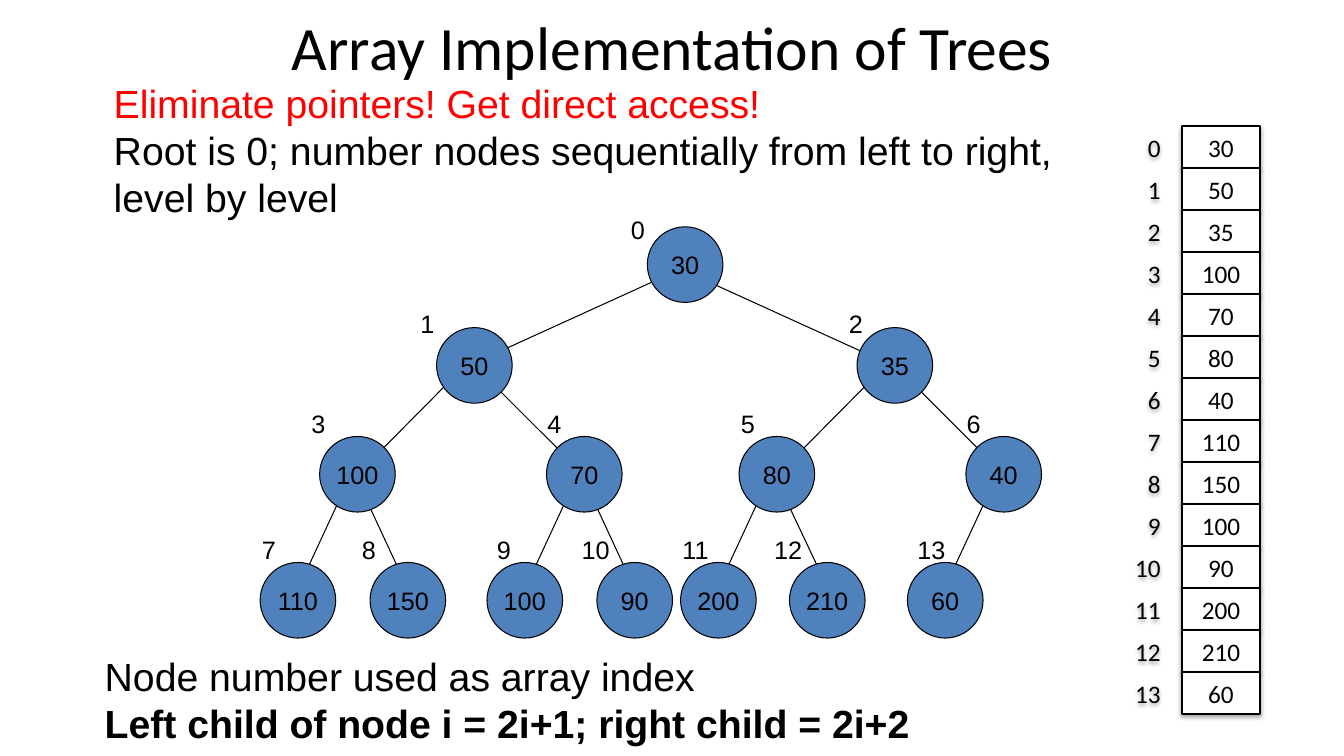
"""Build a slide showing a binary tree and the array that stores it."""
from lxml import etree
from pptx import Presentation
from pptx.dml.color import RGBColor
from pptx.enum.shapes import MSO_CONNECTOR, MSO_SHAPE
from pptx.enum.text import MSO_ANCHOR, MSO_AUTO_SIZE, PP_ALIGN
from pptx.oxml import parse_xml
from pptx.oxml.ns import nsdecls, qn
from pptx.util import Inches, Pt

BLACK = RGBColor(0x00, 0x00, 0x00)
WHITE = RGBColor(0xFF, 0xFF, 0xFF)
RED = RGBColor(0xFF, 0x00, 0x00)
BLUE = RGBColor(0x4F, 0x81, 0xBD)
LEFT, CENTER, RIGHT = PP_ALIGN.LEFT, PP_ALIGN.CENTER, PP_ALIGN.RIGHT
TOP, MIDDLE = MSO_ANCHOR.TOP, MSO_ANCHOR.MIDDLE
OVAL, RECT = MSO_SHAPE.OVAL, MSO_SHAPE.RECTANGLE
STRAIGHT, GROW = MSO_CONNECTOR.STRAIGHT, MSO_AUTO_SIZE.SHAPE_TO_FIT_TEXT

SHADOW = (
    f'<a:effectLst {nsdecls("a")}><a:outerShdw blurRad="39370" dist="22860" '
    'dir="5400000" rotWithShape="0"><a:srgbClr val="000000">'
    '<a:alpha val="35000"/></a:srgbClr></a:outerShdw></a:effectLst>'
)


def write(sp, lines, size, name, align=LEFT, anchor=TOP, wrap=True):
    tf = sp.text_frame
    tf.word_wrap = wrap
    tf.vertical_anchor = anchor
    for i, (text, changes) in enumerate(lines):
        p = tf.paragraphs[0] if i == 0 else tf.add_paragraph()
        p.alignment = align
        r = p.add_run()
        r.text = text
        r.font.color.rgb = BLACK
        formats = {"size": Pt(size), "name": name} | changes
        for key, value in formats.items():
            if key == "color":
                r.font.color.rgb = value
            else:
                setattr(r.font, key, value)


def add_box(shapes, kind, box, fill, weight):
    sp = shapes.add_shape(kind, *map(Inches, box))
    sp.shadow.inherit = False
    sp.fill.solid()
    sp.fill.fore_color.rgb = fill
    sp.line.color.rgb = BLACK
    sp.line.width = Pt(weight)
    return sp


prs = Presentation()
prs.slide_width, prs.slide_height = Inches(13.33), Inches(7.5)
s = prs.slides.add_slide(prs.slide_layouts[5])

title = s.shapes.title
title.left, title.top, title.width, title.height = map(Inches, (2.17, 0.08, 9, 0.75))
write(title, [("Array Implementation of Trees", {})], 44, "Calibri", CENTER, MIDDLE)

notes = [
    ((1.03, 0.74, 9.56, 1.51), [
        ("Eliminate pointers! Get direct access!", {"color": RED}),
        ("Root is 0; number nodes sequentially from left to right, level by level", {}),
    ]),
    ((0.94, 6.42, 8.25, 1.04), [
        ("Node number used as array index", {}),
        ("Left child of node i = 2i+1; right child = 2i+2", {"bold": True}),
    ]),
]
for box, lines in notes:
    sp = s.shapes.add_textbox(*map(Inches, box))
    write(sp, lines, 28, "Arial")
    sp.text_frame.auto_size = GROW

# value, node left, number left, edge end x
nodes = [
    (30, 6.42, 6.16, None),
    (50, 4.33, 4.07, 4.75), (35, 8.5, 8.32, 8.75),
    (100, 3.17, 2.99, 3.58), (70, 5.42, 5.33, 5.75),
    (80, 7.33, 7.25, 7.75), (40, 9.58, 9.49, 9.92),
    (110, 2.58, 2.5, 2.92), (150, 3.67, 3.49, 4.08),
    (100, 4.83, 4.83, 5.17), (90, 5.92, 5.67, 6.33),
    (200, 6.75, 6.67, 7.08), (210, 7.83, 7.58, 8.25),
    (60, 9, 9, 9.33),
]
node_tops = [2.25, 3.25, 4.33, 5.58]
number_tops = [2.08, 3.01, 4, 5.25]
edge_ys = [2.67, 3.58, 4.67, 5.92]
levels = [(i + 1).bit_length() - 1 for i in range(len(nodes))]

tree = s.shapes.add_group_shape().shapes
for i, (value, left, number_left, end_x) in enumerate(nodes[1:], 1):
    parent_left = nodes[(i - 1) // 2][1]
    ends = (parent_left + 0.33, edge_ys[levels[i] - 1], end_x, edge_ys[levels[i]])
    edge = tree.add_connector(STRAIGHT, *map(Inches, ends))
    edge.line.color.rgb = BLACK
    edge.line.width = Pt(0.75)
    etree.SubElement(edge._element.spPr, qn("a:effectLst"))

for (value, left, number_left, end_x), level in zip(nodes, levels):
    sp = add_box(tree, OVAL, (left, node_tops[level], 0.75, 0.75), BLUE, 0.75)
    write(sp, [(str(value), {})], 18, "Arial", CENTER, MIDDLE, False)

for i, (value, left, number_left, end_x) in enumerate(nodes):
    box = (number_left, number_tops[levels[i]], 0.34 if i < 10 else 0.48, 0.4)
    sp = tree.add_textbox(*map(Inches, box))
    write(sp, [(str(i), {})], 18, "Arial", wrap=False)
    sp.text_frame.auto_size = GROW

array = s.shapes.add_group_shape().shapes
row_height = 5 / 12
for i, (value, left, number_left, end_x) in enumerate(nodes):
    top = 1.25 + i * row_height
    cell = add_box(array, RECT, (11.72, top, 0.78, row_height), WHITE, 1.5)
    cell._element.spPr.remove(cell._element.spPr.find(qn("a:effectLst")))
    write(cell, [(str(value), {})], 18, "Calibri", CENTER, MIDDLE)
    index = array.add_textbox(*map(Inches, (11.08, top, 0.53, row_height)))
    write(index, [(str(i), {})], 18, "Calibri", RIGHT, MIDDLE)
    for sp in (cell, index):
        sp._element.spPr.append(parse_xml(SHADOW))

prs.save("out.pptx")
